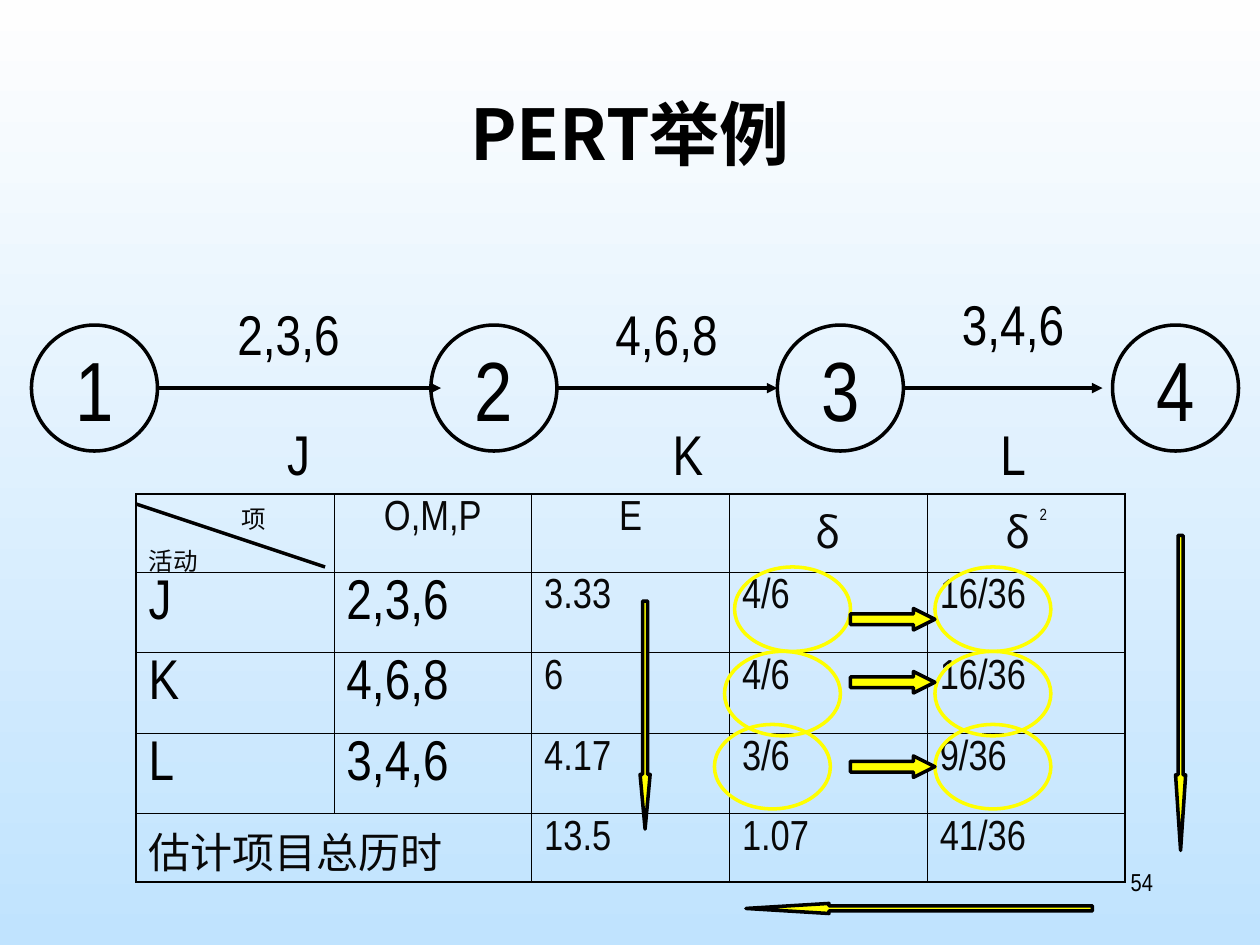
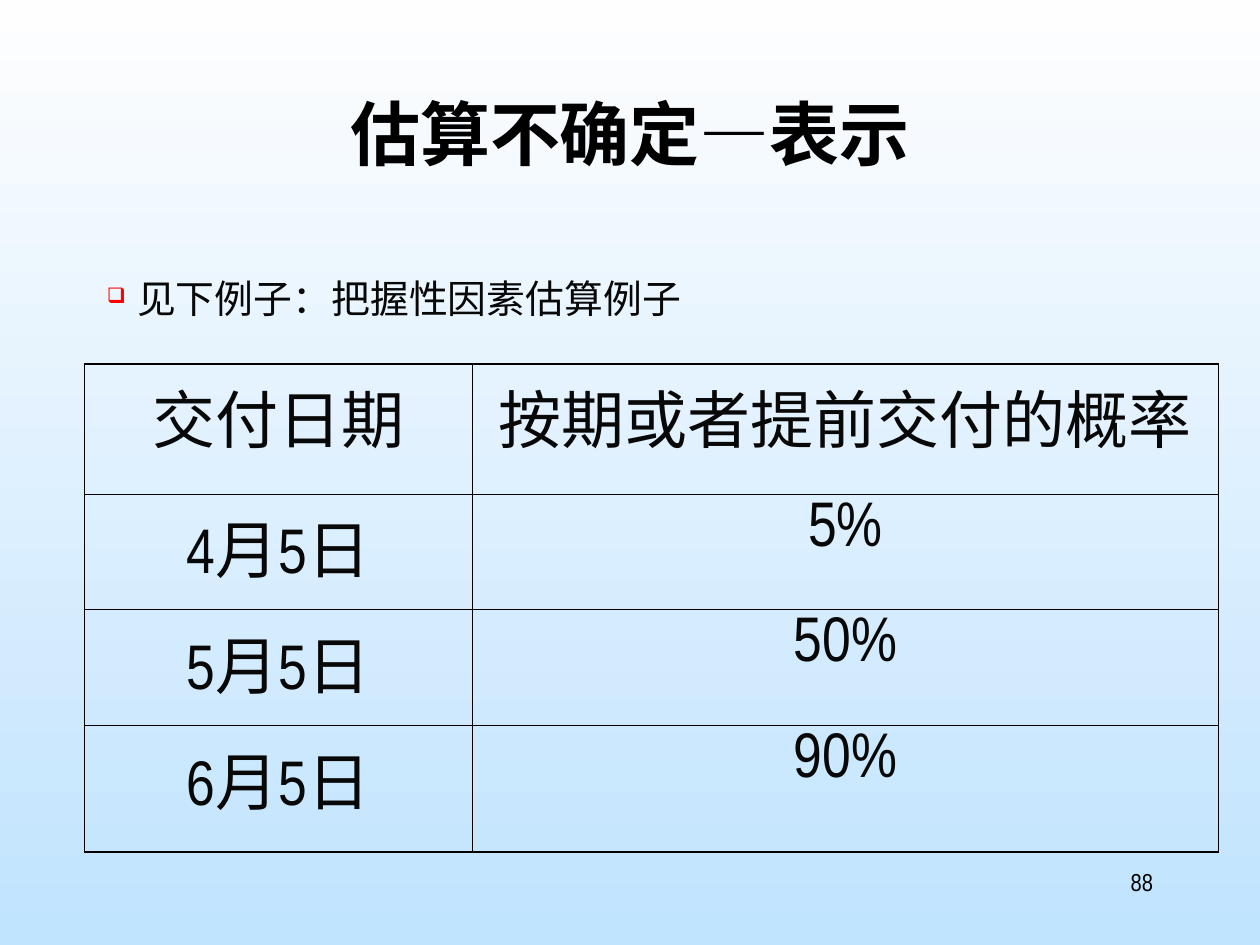
from dataclasses import dataclass

from lxml.etree import SubElement
from pptx import Presentation
from pptx.dml.color import RGBColor
from pptx.enum.shapes import MSO_CONNECTOR, MSO_SHAPE
from pptx.enum.text import MSO_ANCHOR, PP_ALIGN
from pptx.oxml.ns import qn
from pptx.util import Inches, Pt

BLACK = RGBColor(0, 0, 0)
INK = RGBColor(8, 8, 8)
RED = RGBColor(255, 0, 0)
YELLOW = RGBColor(255, 255, 0)
SKY_TOP = RGBColor(0xFE, 0xFE, 0xFE)
SKY_BOTTOM = RGBColor(0xC0, 0xE3, 0xFE)
LATIN = "Arial Narrow"
CJK = "Noto Sans CJK SC"
COLUMNS, ROWS = 120, 90  # the slide grid, twelve cells to the inch
THIN, THICK = Pt(0.45), Pt(1.08)


@dataclass
class Box:
    """An area of the slide, in grid cells."""
    left: float
    top: float
    width: float
    height: float

    def inner(self, left, top, width, height):
        return Box(self.left + left, self.top + top, width, height)

    def lengths(self):
        return [grid(value) for value in (self.left, self.top, self.width, self.height)]


TITLE = Box(9, 8, 102, 15)
PAGE_NUMBER = Box(86, 82, 25, 6)
NETWORK = Box(3, 27, 116, 20)
PERT_TABLE = Box(13, 47, 94, 36.85)
BULLET = Box(9, 26, 102, 6)
DATE_TABLE = Box(8, 34.7, 108, 46.3)


def grid(cells):
    return Inches(round(cells / 12, 2))


# Text

def write(paragraph, text, size=24, font=LATIN, color=BLACK, bold=False,
          align=PP_ALIGN.LEFT, raised=False):
    paragraph.alignment = align
    run = paragraph.add_run()
    run.text = text
    run.font.size = Pt(size)
    run.font.bold = bold
    run.font.name = font
    run.font.color.rgb = color
    properties = run.font._element
    SubElement(properties, qn("a:ea")).set("typeface", CJK)
    if raised:
        properties.set("baseline", "100000")


def add_text(slide, box, text, **style):
    shape = slide.shapes.add_textbox(*box.lengths())
    shape.text_frame.word_wrap = True
    paragraph = shape.text_frame.paragraphs[0]
    write(paragraph, text, **style)
    return paragraph


# Shapes and lines

def add_outline(slide, kind, box, line_color=BLACK, fill_color=None):
    shape = slide.shapes.add_shape(kind, *box.lengths())
    shape.shadow.inherit = False
    if fill_color is None:
        shape.fill.background()
    else:
        shape.fill.solid()
        shape.fill.fore_color.rgb = fill_color
    shape.line.color.rgb = line_color
    shape.line.width = Pt(2)
    return shape


def add_block_arrow(slide, kind, box):
    """A yellow arrow whose head takes a quarter of its length."""
    shape = add_outline(slide, kind, box, fill_color=YELLOW)
    sides = box.width, box.height
    shape.adjustments[0] = 0.5
    shape.adjustments[1] = max(sides) / min(sides) / 4


def add_line(slide, start, end, arrow=False):
    points = [grid(value) for value in (*start, *end)]
    connector = slide.shapes.add_connector(MSO_CONNECTOR.STRAIGHT, *points)
    connector.line.color.rgb = BLACK
    connector.line.width = Pt(2)
    if arrow:
        SubElement(connector.line._get_or_add_ln(), qn("a:tailEnd")).set("type", "triangle")
    SubElement(connector._element.spPr, qn("a:effectLst"))


# Tables

def set_border(cell, side, width):
    line = SubElement(cell._tc.get_or_add_tcPr(), qn(f"a:ln{side}"), w=str(int(width)))
    fill = SubElement(line, qn("a:solidFill"))
    SubElement(fill, qn("a:srgbClr")).set("val", str(BLACK))


def add_ruled_table(slide, box, widths, heights):
    """An unfilled table with thin inner rules and a thicker frame."""
    table = slide.shapes.add_table(len(heights), len(widths), *box.lengths()).table
    table.first_row = table.horz_banding = False
    for column, width in zip(table.columns, widths):
        column.width = grid(width)
    for row, height in zip(table.rows, heights):
        row.height = grid(height)
    last_row, last_column = len(heights) - 1, len(widths) - 1
    for row_index, row in enumerate(table.rows):
        for column_index, cell in enumerate(row.cells):
            on_frame = {"L": column_index == 0, "R": column_index == last_column,
                        "T": row_index == 0, "B": row_index == last_row}
            for side, thick in on_frame.items():
                set_border(cell, side, THICK if thick else THIN)
            cell.fill.background()
    return table


def write_cell(cell, text, **style):
    write(cell.text_frame.paragraphs[0], text, **style)


# Parts of every slide

def add_base_slide(presentation, title, number):
    slide = presentation.slides.add_slide(presentation.slide_layouts[6])
    fill = slide.background.fill
    fill.gradient()
    fill.gradient_angle = 270
    for stop, color, position in zip(fill.gradient_stops, (SKY_TOP, SKY_BOTTOM), (0, 1)):
        stop.color.rgb = color
        stop.position = position
    add_text(slide, TITLE, title, size=40, font=CJK, bold=True, align=PP_ALIGN.CENTER)
    add_text(slide, PAGE_NUMBER, number, size=14, align=PP_ALIGN.RIGHT)
    return slide


# PERT slide

def add_network(slide, box):
    # Numbered events
    for number, left in enumerate((0, 38, 71, 103), start=1):
        circle = add_outline(slide, MSO_SHAPE.OVAL, box.inner(left, 4, 12, 12))
        frame = circle.text_frame
        frame.word_wrap = False
        frame.vertical_anchor = MSO_ANCHOR.MIDDLE
        write(frame.paragraphs[0], str(number), size=48, align=PP_ALIGN.CENTER)
    # Activity arrows
    arrow_row = box.top + 10
    for start, end in ((12, 39), (50, 71), (83, 102)):
        add_line(slide, (box.left + start, arrow_row), (box.left + end, arrow_row), arrow=True)
    # Estimates above the arrows, names below them
    label = {"size": 32, "align": PP_ALIGN.CENTER}
    for text, left, top in (("2,3,6", 16, 1), ("4,6,8", 52, 1), ("3,4,6", 85, 0)):
        add_text(slide, box.inner(left, top, 17, 7.7), text, **label)
    for text, left in (("J", 19), ("K", 56), ("L", 87)):
        add_text(slide, box.inner(left, 12.4, 13, 7.7), text, **label)


def add_pert_table(slide, box):
    table = add_ruled_table(slide, box, [box.width / 5] * 5, [7.4, 7.65, 7.65, 7.65, 6.5])
    # Split corner heading
    corner = table.cell(0, 0).text_frame
    write(corner.paragraphs[0], "项", size=14, color=INK)
    corner.paragraphs[0]._p.get_or_add_pPr().set("marL", str(Inches(0.74)))
    second = corner.add_paragraph()
    second.space_before = Pt(3.5)
    write(second, "活动", size=14, color=INK)
    # Column headings
    heading = {"color": INK, "align": PP_ALIGN.CENTER}
    for column, (text, font) in enumerate(
            (("O,M,P", LATIN), ("E", LATIN), ("δ", CJK), ("δ ", CJK)), start=1):
        write_cell(table.cell(0, column), text, font=font, **heading)
    write_cell(table.cell(0, 4), "2", size=16, raised=True, **heading)
    # Activities
    activities = (("J", "2,3,6", "3.33", "4/6", "16/36"),
                  ("K", "4,6,8", "6", "4/6", "16/36"),
                  ("L", "3,4,6", "4.17", "3/6", "9/36"))
    for row, values in enumerate(activities, start=1):
        for column, text in enumerate(values):
            style = {"size": 32} if column < 2 else {"color": INK}
            write_cell(table.cell(row, column), text, **style)
    # Totals
    table.cell(4, 0).merge(table.cell(4, 1))
    for column, text in ((0, "估计项目总历时"), (2, "13.5"), (3, "1.07"), (4, "41/36")):
        write_cell(table.cell(4, column), text, color=INK)
    add_line(slide, (box.left, box.top + 1), (box.left + 18, box.top + 7))


def add_calculation_marks(slide, box):
    # Each deviation leads to its variance
    for deviation_left, oval_top, arrow_top in ((57, 7, 11), (56, 15, 17), (55, 22, 25)):
        for left in (deviation_left, 76):
            add_outline(slide, MSO_SHAPE.OVAL, box.inner(left, oval_top, 11, 8), YELLOW)
        add_block_arrow(slide, MSO_SHAPE.RIGHT_ARROW, box.inner(68, arrow_top, 8, 2))
    # Sums down the columns and back to the deviation
    add_block_arrow(slide, MSO_SHAPE.DOWN_ARROW, box.inner(48, 10.25, 1, 21.7))
    add_block_arrow(slide, MSO_SHAPE.DOWN_ARROW, box.inner(99, 4, 1, 30))
    add_block_arrow(slide, MSO_SHAPE.LEFT_ARROW, box.inner(58, 39, 33, 1))


def build_pert_slide(presentation):
    slide = add_base_slide(presentation, "PERT举例", "54")
    add_network(slide, NETWORK)
    add_pert_table(slide, PERT_TABLE)
    add_calculation_marks(slide, PERT_TABLE)


# Delivery date slide

def add_bullet(slide, box, text):
    paragraph = add_text(slide, box, text, size=22.2, font=CJK, color=INK)
    paragraph.line_spacing = 0.9
    properties = paragraph._p.get_or_add_pPr()
    properties.set("marL", str(Inches(0.24)))
    properties.set("indent", str(-Inches(0.24)))
    color = SubElement(properties, qn("a:buClr"))
    SubElement(color, qn("a:srgbClr")).set("val", str(RED))
    SubElement(properties, qn("a:buSzPct")).set("val", "55000")
    SubElement(properties, qn("a:buChar")).set("char", "❑")


def add_date_table(slide, box):
    table = add_ruled_table(slide, box, [37, 71], [12.3, 11, 11, 12])
    rows = (("交付日期", "按期或者提前交付的概率"),
            ("4月5日", "5%"), ("5月5日", "50%"), ("6月5日", "90%"))
    for row, values in enumerate(rows):
        for column, text in enumerate(values):
            write_cell(table.cell(row, column), text, size=36, color=INK,
                       align=PP_ALIGN.CENTER)


def build_date_slide(presentation):
    slide = add_base_slide(presentation, "估算不确定—表示", "88")
    add_bullet(slide, BULLET, "见下例子：把握性因素估算例子")
    add_date_table(slide, DATE_TABLE)


def main():
    presentation = Presentation()
    presentation.slide_width = grid(COLUMNS)
    presentation.slide_height = grid(ROWS)
    build_pert_slide(presentation)
    build_date_slide(presentation)
    presentation.save("out.pptx")


if __name__ == "__main__":
    main()
